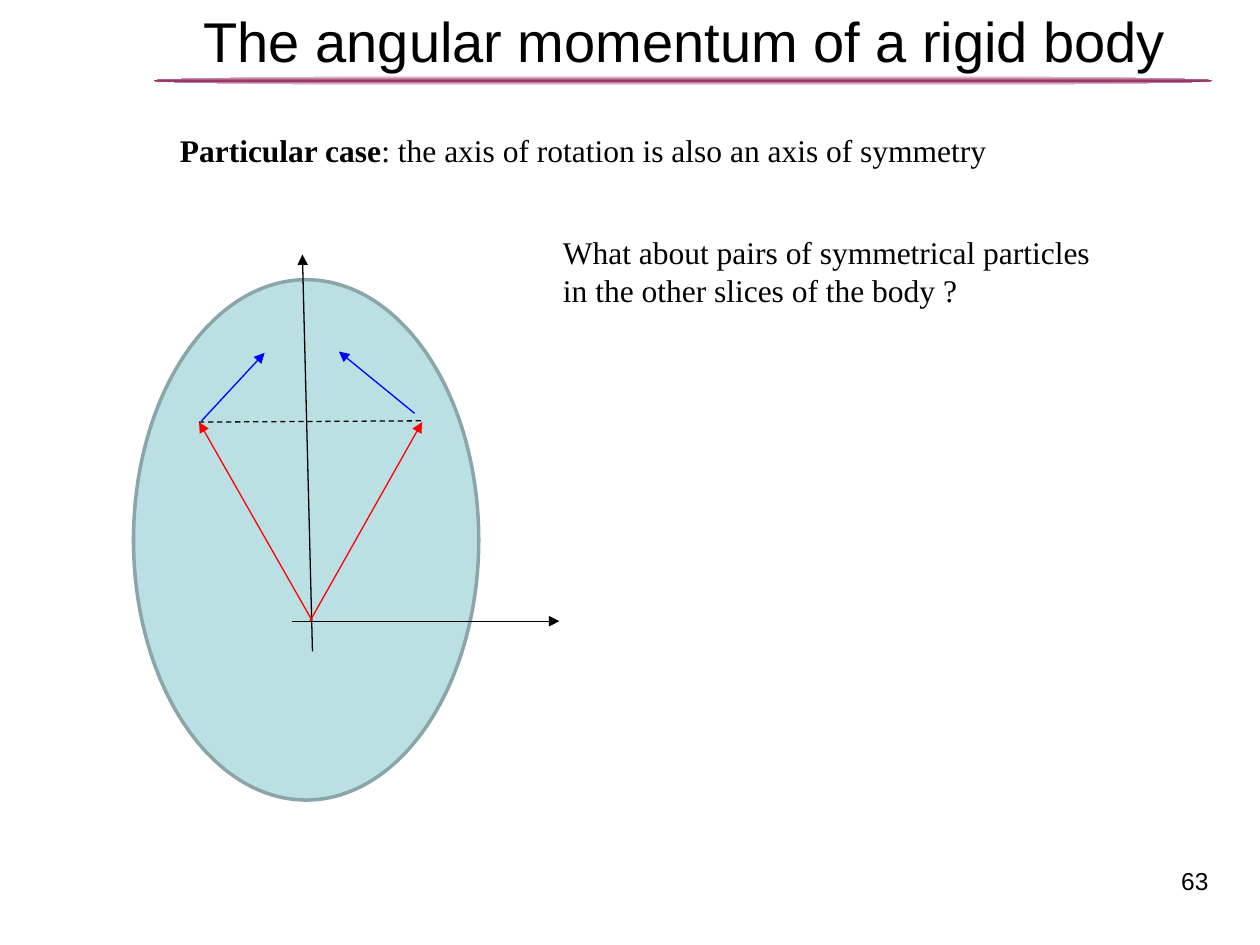
from copy import deepcopy

from pptx import Presentation
from pptx.dml.color import RGBColor
from pptx.enum.dml import MSO_LINE
from pptx.enum.shapes import MSO_CONNECTOR, MSO_SHAPE
from pptx.enum.text import PP_ALIGN
from pptx.oxml.ns import qn
from pptx.oxml.xmlchemy import OxmlElement
from pptx.util import Inches, Pt

COLORS = {
    "black": "000000",
    "white": "FFFFFF",
    "plum": "993366",
    "body": "BBE0E3",
    "rim": "8AA6A8",
    "position": "FF0000",
    "momentum": "0000FF",
}


def rgb(name):
    return RGBColor.from_string(COLORS[name])


def add_ellipse(slide, left, top, width, height):
    ellipse = slide.shapes.add_shape(
        MSO_SHAPE.OVAL, Inches(left), Inches(top), Inches(width), Inches(height))
    ellipse.shadow.inherit = False
    return ellipse


def add_title_rule(slide):
    rule = add_ellipse(slide, 1.22, 0.6, 8.4, 0.08)
    rule.line.fill.background()
    rule.fill.gradient()
    rule.fill.gradient_angle = 90
    stop_list = rule._element.spPr.find(".//" + qn("a:gsLst"))
    stop_list.append(deepcopy(stop_list[-1]))
    stops = zip(rule.fill.gradient_stops, (0, 0.5, 1), ("white", "plum", "white"))
    for stop, position, color in stops:
        stop.position = position
        stop.color.rgb = rgb(color)


def add_rigid_body(slide):
    body = add_ellipse(slide, 1.06, 2.22, 2.74, 4.13)
    body.fill.solid()
    body.fill.fore_color.rgb = rgb("body")
    body.line.color.rgb = rgb("rim")
    body.line.width = Pt(2)


def add_text(slide, left, top, width, height, runs, size, font,
             align=PP_ALIGN.LEFT, wrap=True):
    box = slide.shapes.add_textbox(
        Inches(left), Inches(top), Inches(width), Inches(height))
    box.text_frame.word_wrap = wrap
    paragraph = box.text_frame.paragraphs[0]
    paragraph.alignment = align
    for text, bold in runs:
        run = paragraph.add_run()
        run.text = text
        run.font.name = font
        run.font.size = Pt(size)
        run.font.bold = bold
        run.font.color.rgb = rgb("black")


def add_line(slide, start, end, color="black", arrow=True, dashed=False):
    ends = [Inches(value) for value in (*start, *end)]
    connector = slide.shapes.add_connector(MSO_CONNECTOR.STRAIGHT, *ends)
    connector.line.color.rgb = rgb(color)
    connector.line.width = Pt(0.75)
    if dashed:
        connector.line.dash_style = MSO_LINE.DASH
    if arrow:
        tip = OxmlElement("a:tailEnd")
        tip.set("type", "triangle")
        connector.line._get_or_add_ln().append(tip)
    connector._element.spPr.append(OxmlElement("a:effectLst"))


def add_vectors(slide):
    origin = (2.48, 4.93)
    left_particle, right_particle = (1.58, 3.35), (3.35, 3.35)
    add_line(slide, (2.48, 5.17), (2.4, 2.02))
    add_line(slide, (2.32, 4.93), (2.64, 4.93), arrow=False)
    add_line(slide, (2.46, 4.93), right_particle, "position")
    add_line(slide, origin, left_particle, "position")
    add_line(slide, (3.29, 3.28), (2.69, 2.79), "momentum")
    add_line(slide, (1.6, 3.34), (2.1, 2.8), "momentum")
    add_line(slide, left_particle, (3.35, 3.34), arrow=False, dashed=True)
    add_line(slide, origin, (4.44, 4.93))


def main():
    deck = Presentation()
    deck.slide_width, deck.slide_height = Inches(10), Inches(7.5)
    slide = deck.slides.add_slide(deck.slide_layouts[6])

    add_title_rule(slide)
    add_rigid_body(slide)
    add_text(slide, 1, 0, 9, 1.25,
             [("The angular momentum of a rigid body ", False)],
             32, "Arial", PP_ALIGN.CENTER)
    add_text(slide, 7.36, 6.82, 2.33, 0.45, [("63", False)],
             14, "Arial", PP_ALIGN.RIGHT)
    add_text(slide, 1.33, 0.99, 6.67, 0.4,
             [("Particular case", True),
              (": the axis of rotation is also an axis of symmetry", False)],
             18, "Times New Roman", wrap=False)
    add_text(slide, 4.37, 1.8, 4.57, 0.71,
             [("What about pairs of symmetrical particles "
               "in the other slices of the body ?", False)],
             18, "Times New Roman")
    add_vectors(slide)

    deck.save("out.pptx")


if __name__ == "__main__":
    main()
